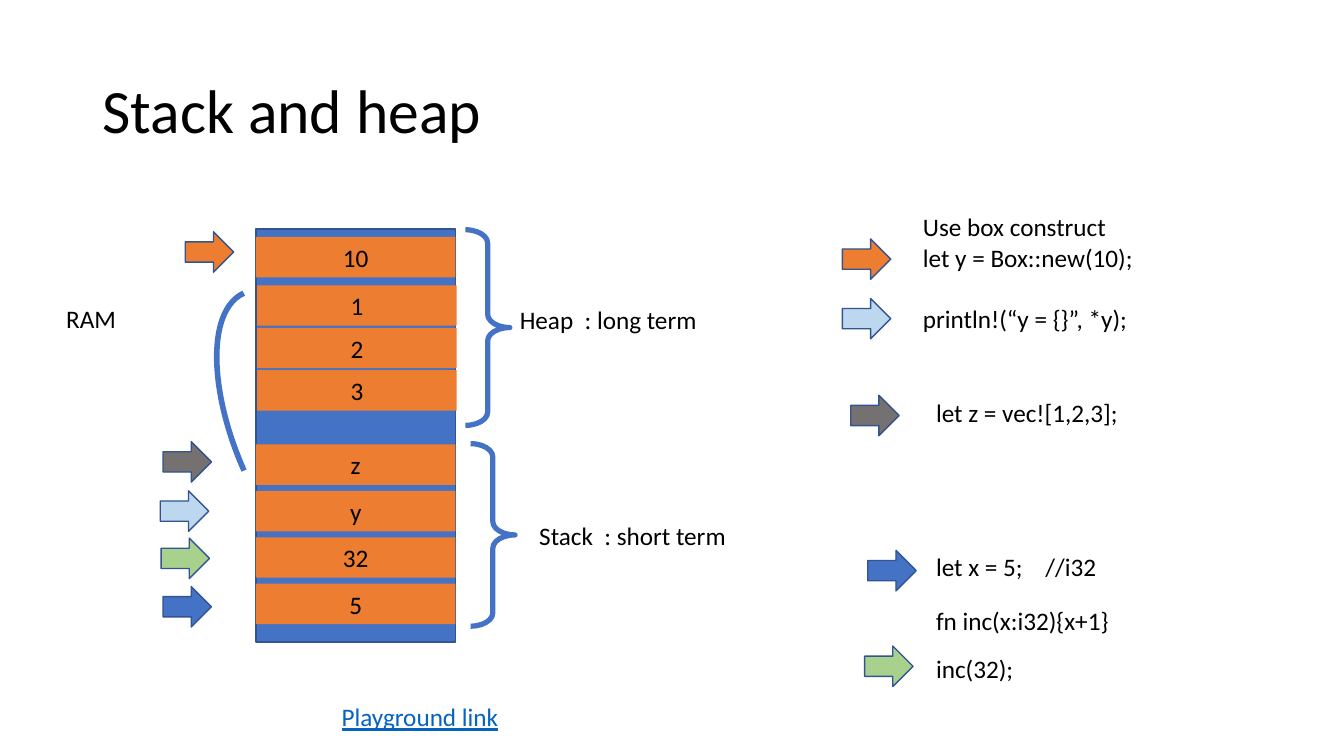
import pptx
import pptx.dml.color
import pptx.enum.shapes
import pptx.enum.text
import pptx.util

Cm = pptx.util.Cm
Pt = pptx.util.Pt
SHAPE = pptx.enum.shapes.MSO_SHAPE
ALIGN = pptx.enum.text.PP_ALIGN
ANCHOR = pptx.enum.text.MSO_ANCHOR

BLUE, DARK_BLUE, LIGHT_BLUE = "4472C4", "325491", "BDD7EE"
ORANGE, GREEN, GREY = "ED7D31", "A9D18E", "767171"
BLACK, LINK_BLUE = "000000", "0563C1"

RAM_LEFT, RAM_WIDTH = 6.45, 5.03
ROW_HEIGHT = 1.02

# Memory cells as (left, first top, pitch, values)
CELL_GROUPS = [
    (RAM_LEFT, 5.97, 0, ["10"]),
    (6.48, 7.19, 1.07, ["1", "2", "3"]),
    (RAM_LEFT, 11.2, 1.17, ["z", "y", "32", "5"]),
]

# Each colour ties a memory cell to its statement: (colour, cell arrow, code arrow)
ARROW_PAIRS = [
    (ORANGE, (4.67, 5.84), (21.23, 6.02)),
    (LIGHT_BLUE, (4.04, 12.37), (21.23, 7.52)),
    (GREY, (4.11, 11.13), (21.44, 9.96)),
    (BLUE, (4.11, 14.78), (21.87, 13.87)),
    (GREEN, (4.06, 13.56), (21.79, 16.28)),
]

# Labels and code as (left, top, width, lines)
LABELS = [
    (1.42, 7.52, 1.78, ["RAM"]),
    (12.85, 7.54, 5.03, ["Heap  : long term"]),
    (13.34, 12.98, 5.26, ["Stack  : short term"]),
    (23.34, 9.88, 5.16, ["let z = vec![1,2,3];"]),
    (23.34, 13.77, 4.62, ["let x = 5;    //i32"]),
    (23.34, 15.14, 4.9, ["fn inc(x:i32){x+1}"]),
    (23.34, 16.33, 2.49, ["inc(32);"]),
]


def rgb(hex_colour):
    return pptx.dml.color.RGBColor.from_string(hex_colour)


def style_font(paragraph, size=18, colour=BLACK):
    paragraph.font.name = "Calibri"
    paragraph.font.size = Pt(size)
    paragraph.font.color.rgb = rgb(colour)


def add_preset(slide, preset, box, fill=None, line=None, weight=1):
    """Add a preset shape; box is left, top, width, height in cm."""
    shape = slide.shapes.add_shape(preset, *map(Cm, box))
    shape.shadow.inherit = False
    if fill:
        shape.fill.solid()
        shape.fill.fore_color.rgb = rgb(fill)
    else:
        shape.fill.background()
    if line:
        shape.line.color.rgb = rgb(line)
        shape.line.width = Pt(weight)
    else:
        shape.line.fill.background()
    return shape


def add_title(slide, text):
    title = slide.shapes.title
    title.left, title.top = Cm(2.33), Cm(1.01)
    title.width, title.height = Cm(29.21), Cm(3.68)
    title.text_frame.text = text
    title.text_frame.vertical_anchor = ANCHOR.MIDDLE
    heading = title.text_frame.paragraphs[0]
    heading.alignment = ALIGN.LEFT
    heading.line_spacing = 0.9
    style_font(heading, 44)


def add_cell(slide, left, top, value):
    cell = add_preset(slide, SHAPE.RECTANGLE, (left, top, RAM_WIDTH, ROW_HEIGHT), ORANGE)
    cell.text_frame.text = value
    cell.text_frame.vertical_anchor = ANCHOR.MIDDLE
    paragraph = cell.text_frame.paragraphs[0]
    paragraph.alignment = ALIGN.CENTER
    style_font(paragraph)


def add_arrow(slide, left, top, colour):
    add_preset(slide, SHAPE.RIGHT_ARROW, (left, top, 1.22, ROW_HEIGHT), colour, DARK_BLUE)


def add_brace(slide, left, top, height):
    brace = add_preset(slide, SHAPE.RIGHT_BRACE, (left, top, 1.12, height),
                       line=BLUE, weight=3.75)
    brace.adjustments[0] = 0.3


def add_label(slide, left, top, width, lines, colour=BLACK):
    height = ROW_HEIGHT + 0.77 * (len(lines) - 1)
    label = slide.shapes.add_textbox(Cm(left), Cm(top), Cm(width), Cm(height))
    label.text_frame.word_wrap = False
    label.text_frame.text = "\n".join(lines)
    for paragraph in label.text_frame.paragraphs:
        style_font(paragraph, colour=colour)
    return label


def main():
    deck = pptx.Presentation()
    deck.slide_width, deck.slide_height = Cm(33.87), Cm(19.05)
    slide = deck.slides.add_slide(deck.slide_layouts[5])
    add_title(slide, "Stack and heap")

    add_preset(slide, SHAPE.RECTANGLE, (RAM_LEFT, 5.77, RAM_WIDTH, 10.41), BLUE, DARK_BLUE)
    for left, first_top, pitch, values in CELL_GROUPS:
        for row, value in enumerate(values):
            add_cell(slide, left, first_top + row * pitch, value)

    add_brace(slide, 11.73, 5.79, 4.93)
    add_brace(slide, 11.86, 11.18, 4.6)
    z_to_vector = add_preset(slide, SHAPE.ARC, (3.71, 9.32, 8.18, 3.61), line=BLUE, weight=4)
    z_to_vector.rotation = 246.1

    for colour, cell_arrow, code_arrow in ARROW_PAIRS:
        add_arrow(slide, *cell_arrow, colour)
        add_arrow(slide, *code_arrow, colour)

    for label in LABELS:
        add_label(slide, *label)
    box_code = add_label(slide, 23.01, 5.21, 5.87, [
        "Use box construct", "let y = Box::new(10);", "println!(“y = {}”, *y);"])
    box_code.height = Cm(3.33)
    box_code.text_frame.paragraphs[2].space_before = Pt(22)
    playground = add_label(slide, 8.36, 17.55, 4.5, ["Playground link"], LINK_BLUE)
    playground.text_frame.paragraphs[0].font.underline = True

    deck.save("out.pptx")


if __name__ == "__main__":
    main()
